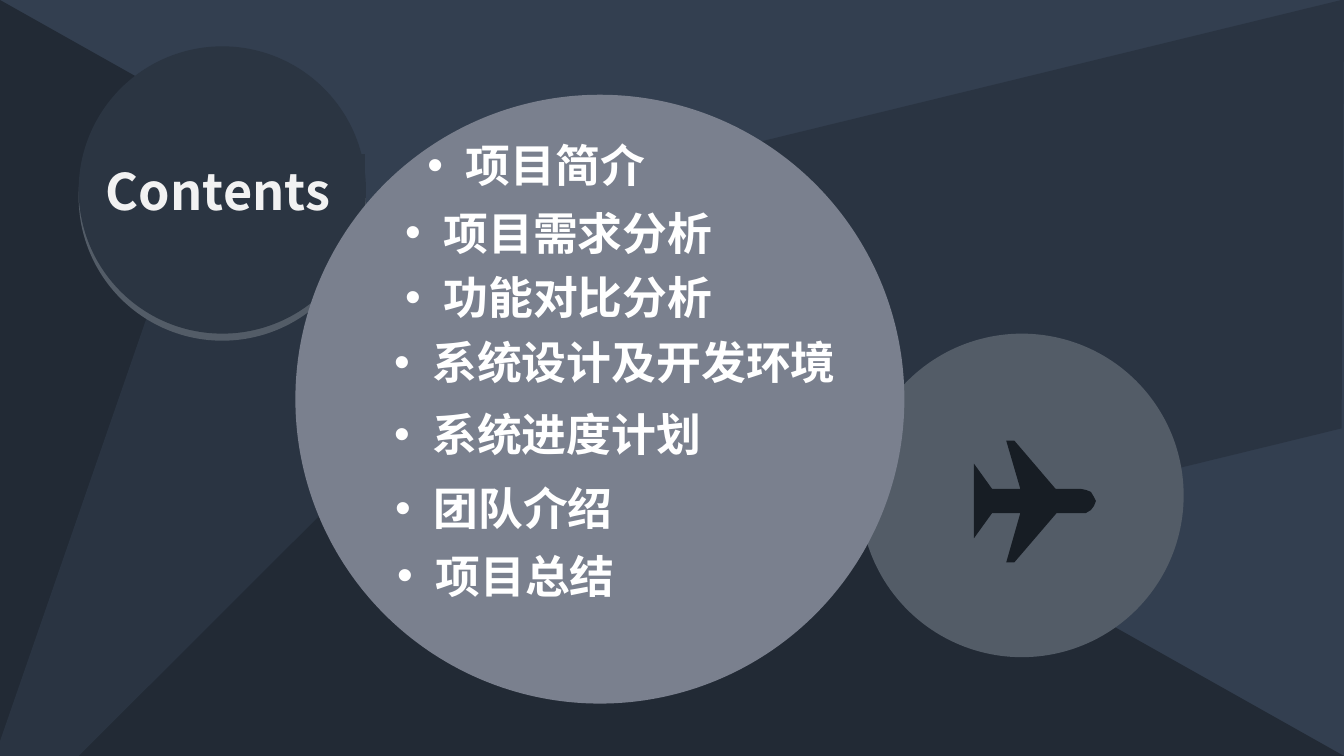
from dataclasses import dataclass

from lxml.etree import SubElement
from pptx import Presentation
from pptx.dml.color import RGBColor
from pptx.enum.shapes import MSO_SHAPE
from pptx.enum.text import MSO_ANCHOR, PP_ALIGN
from pptx.oxml.ns import qn
from pptx.shapes.base import BaseShape
from pptx.slide import Slide
from pptx.text.text import TextFrame
from pptx.util import Emu, Pt

PX = 9144
FONT = "Noto Sans CJK SC"
NAVY, NIGHT, SLATE = "333F50", "222A35", "2B3542"
GREY, MIST, INK = "535C67", "7A808E", "171D24"
WHITE, PALE = "FFFFFF", "F2F2F2"


@dataclass(frozen=True)
class Panel:
    kind: MSO_SHAPE
    left: int
    top: int
    width: int
    height: int
    color: str
    adjust: float | None = None
    rotation: float = 0
    opacity: int = 100


@dataclass(frozen=True)
class Topic:
    text: str
    left: int
    top: int
    width: int = 362


BACKDROP = [
    Panel(MSO_SHAPE.ISOSCELES_TRIANGLE, 0, 0, 1333, 750, NIGHT, 0),
    Panel(MSO_SHAPE.PARALLELOGRAM, -71, 168, 1474, 413, NIGHT, None, 346.3, 50),
    Panel(MSO_SHAPE.ISOSCELES_TRIANGLE, 118, -116, 541, 1112, NAVY, 1, 199.1, 50),
]
TITLE_SHADE = Panel(MSO_SHAPE.OVAL, 78, 53, 285, 285, GREY)
PLANE_DISC = Panel(MSO_SHAPE.OVAL, 853, 331, 321, 321, GREY)
TITLE_DISC = Panel(MSO_SHAPE.OVAL, 78, 46, 285, 285, SLATE)
TOPIC_DISC = Panel(MSO_SHAPE.OVAL, 293, 94, 604, 604, MIST)

PLANE = [
    (966, 460), (984, 485), (1012, 485), (998, 437), (1006, 437), (1047, 485),
    (1072, 485), (1077, 486), (1082, 488), (1085, 493), (1087, 497),
    (1085, 502), (1082, 506), (1077, 509), (1072, 509),
    (1048, 509), (1006, 558), (998, 558), (1012, 509), (984, 509), (966, 534),
]

TOPICS = [
    Topic("项目简介", 414, 132),
    Topic("项目需求分析", 392, 199),
    Topic("功能对比分析", 392, 263),
    Topic("系统设计及开发环境", 381, 327, 472),
    Topic("系统进度计划", 381, 399, 385),
    Topic("团队介绍", 382, 472),
    Topic("项目总结", 384, 539),
]


def px(length: int) -> Emu:
    return Emu(length * PX)


def rgb(color: str) -> RGBColor:
    return RGBColor.from_string(color)


def paint(shape: BaseShape, color: str) -> None:
    shape.fill.solid()
    shape.fill.fore_color.rgb = rgb(color)
    shape.line.fill.background()
    shape.shadow.inherit = False


def draw_panel(slide: Slide, panel: Panel) -> None:
    shape = slide.shapes.add_shape(
        panel.kind, px(panel.left), px(panel.top), px(panel.width), px(panel.height)
    )
    paint(shape, panel.color)
    shape.rotation = panel.rotation
    if panel.adjust is not None:
        shape.adjustments[0] = panel.adjust
    if panel.opacity < 100:
        tint = shape.element.spPr.find(f"{qn('a:solidFill')}/{qn('a:srgbClr')}")
        SubElement(tint, qn("a:alpha"), val=str(panel.opacity * 1000))


def write(frame: TextFrame, text: str, size: int, color: str) -> None:
    frame.word_wrap = True
    paragraph = frame.paragraphs[0]
    paragraph.text = text
    paragraph.alignment = PP_ALIGN.LEFT
    font = paragraph.font
    font.name, font.size, font.bold = FONT, Pt(size), True
    font.color.rgb = rgb(color)
    defaults = paragraph.font._element
    SubElement(defaults, qn("a:ea"), typeface=FONT)


def draw_plane(slide: Slide) -> None:
    builder = slide.shapes.build_freeform(*PLANE[0], scale=PX)
    builder.add_line_segments(PLANE[1:], close=True)
    paint(builder.convert_to_shape(), INK)


def place_title(slide: Slide) -> None:
    title = slide.shapes.title
    title.left, title.top, title.width, title.height = map(px, (95, 153, 267, 71))
    paint(title, SLATE)
    write(title.text_frame, "Contents", 36, PALE)
    title.text_frame.vertical_anchor = MSO_ANCHOR.MIDDLE
    slide.shapes.element.append(title.element)


def draw_topic(slide: Slide, topic: Topic) -> None:
    box = slide.shapes.add_textbox(px(topic.left), px(topic.top), px(topic.width), px(64))
    write(box.text_frame, topic.text, 32, WHITE)
    properties = box.text_frame.paragraphs[0]._p.get_or_add_pPr()
    properties.set("marL", str(px(38)))
    properties.set("indent", str(px(-38)))
    bullet_font = properties.makeelement(qn("a:buFont"), typeface="Arial")
    bullet = properties.makeelement(qn("a:buChar"), char="•")
    properties.insert(0, bullet_font)
    properties.insert(1, bullet)


def main() -> None:
    deck = Presentation()
    deck.slide_width, deck.slide_height = px(1333), px(750)
    slide = deck.slides.add_slide(deck.slide_layouts.get_by_name("Title Only"))
    slide.background.fill.solid()
    slide.background.fill.fore_color.rgb = rgb(NAVY)

    for panel in [*BACKDROP, TITLE_SHADE, PLANE_DISC]:
        draw_panel(slide, panel)
    draw_plane(slide)
    draw_panel(slide, TITLE_DISC)
    place_title(slide)
    draw_panel(slide, TOPIC_DISC)
    for topic in TOPICS:
        draw_topic(slide, topic)
    deck.save("out.pptx")


if __name__ == "__main__":
    main()
